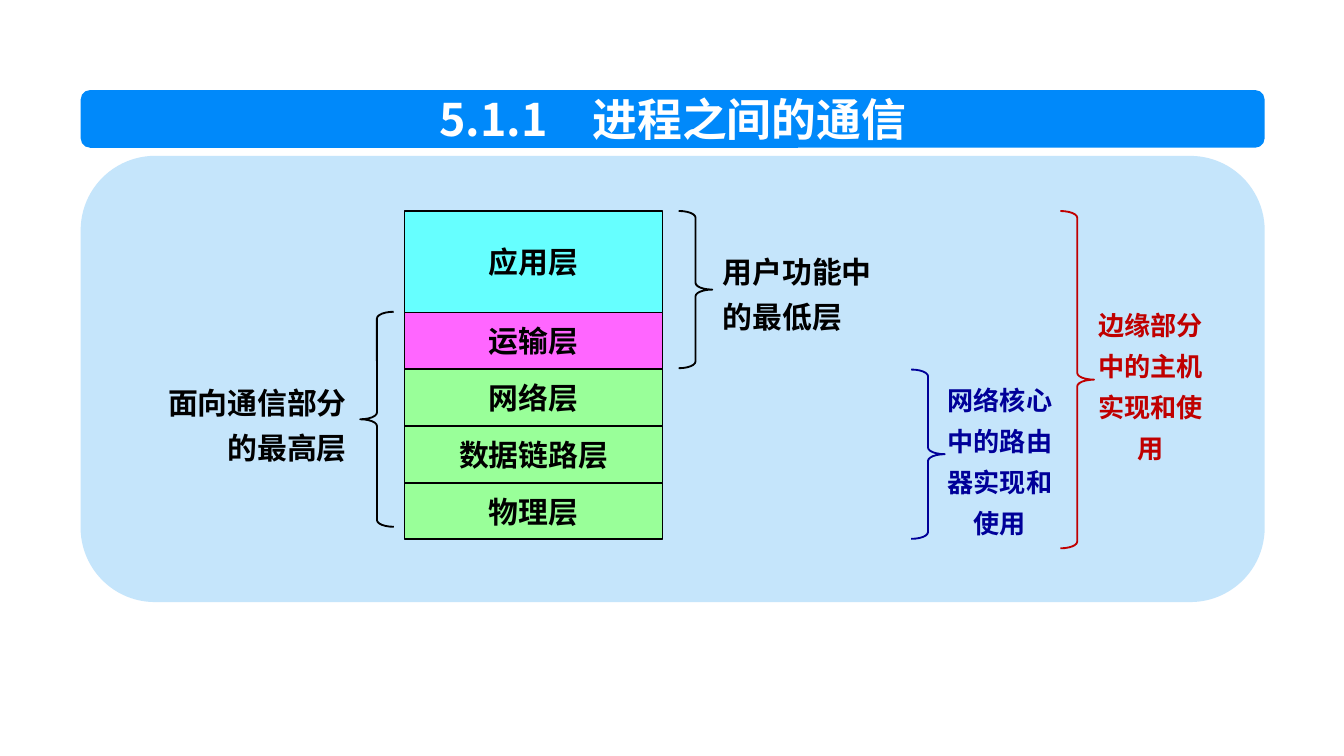
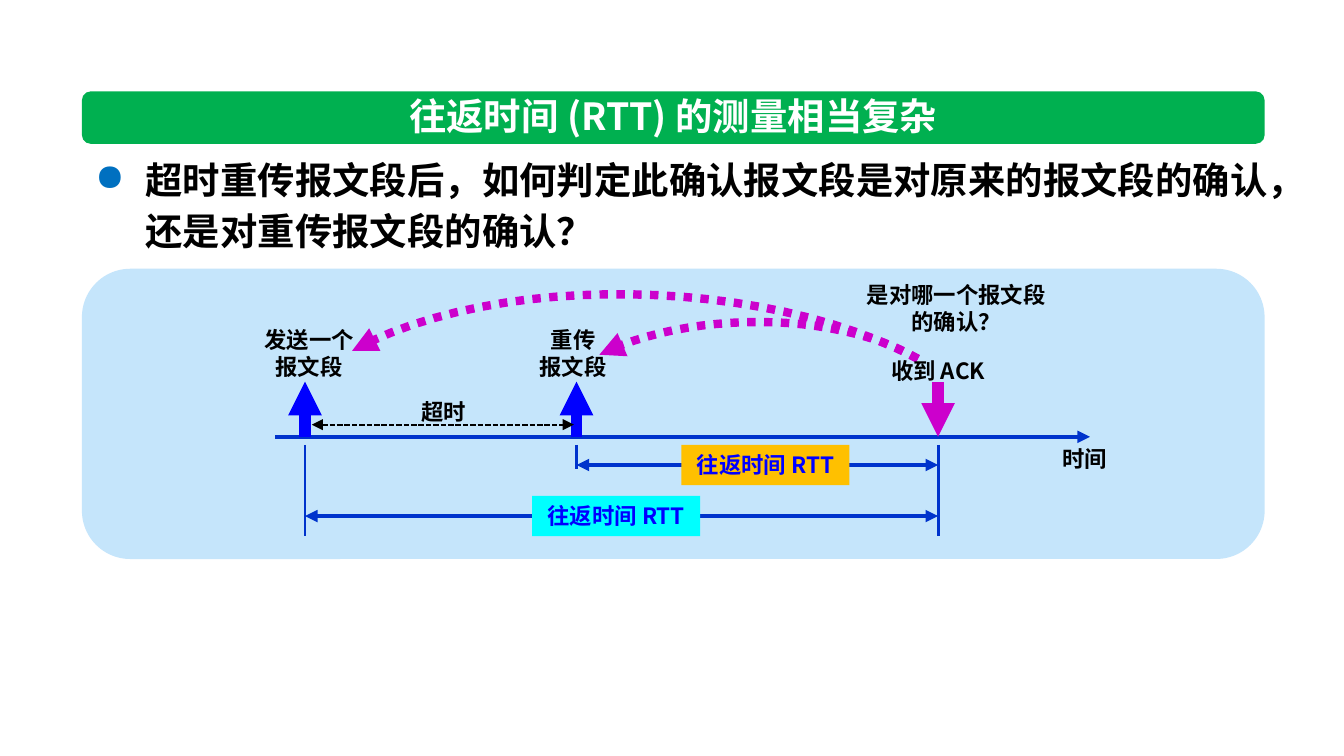
from dataclasses import dataclass

from lxml.etree import SubElement
from pptx import Presentation
from pptx.dml.color import RGBColor
from pptx.enum.dml import MSO_LINE
from pptx.enum.shapes import MSO_CONNECTOR, MSO_SHAPE
from pptx.enum.text import MSO_ANCHOR, MSO_AUTO_SIZE, PP_ALIGN
from pptx.oxml.ns import qn
from pptx.util import Inches, Pt

FONT = "Noto Sans CJK SC"
TITLE_ONLY = 5

WHITE = RGBColor(0xFF, 0xFF, 0xFF)
BLACK = RGBColor(0x00, 0x00, 0x00)
PANEL_BLUE = RGBColor(0xC5, 0xE5, 0xFB)
BAND_BLUE = RGBColor(0x00, 0x89, 0xFA)
BAND_GREEN = RGBColor(0x00, 0xB0, 0x50)
LAYER_GREEN = RGBColor(0x99, 0xFF, 0x99)
LAYER_PINK = RGBColor(0xFF, 0x66, 0xFF)
LAYER_CYAN = RGBColor(0x66, 0xFF, 0xFF)
CORE_NAVY = RGBColor(0x00, 0x00, 0x99)
EDGE_RED = RGBColor(0xC0, 0x00, 0x00)
AXIS_BLUE = RGBColor(0x00, 0x33, 0xCC)
SEND_BLUE = RGBColor(0x00, 0x00, 0xFF)
ACK_PURPLE = RGBColor(0xCC, 0x00, 0xCC)
RTT_AMBER = RGBColor(0xFF, 0xC0, 0x00)
RTT_CYAN = RGBColor(0x00, 0xFF, 0xFF)


def cells(count):
    """Convert grid cells of a tenth of an inch to a length."""
    return Inches(count / 10)


@dataclass
class Area:
    """A box on the grid of 100 columns by 56.25 rows."""

    left: float
    top: float
    width: float
    height: float

    def inner(self, left, top, width, height):
        """Return a box placed relative to this one."""
        return Area(self.left + left, self.top + top, width, height)

    def point(self, column, row):
        """Return the position of a point relative to this box."""
        return cells(self.left + column), cells(self.top + row)

    def frame(self):
        """Return left, top, width and height as lengths."""
        return [cells(n) for n in (self.left, self.top, self.width, self.height)]


def write(shape, lines, size, color=BLACK, align=PP_ALIGN.CENTER,
          anchor=MSO_ANCHOR.TOP, spacing=None, wrap=True):
    """Fill a shape with bold text in the shared font."""
    text_frame = shape.text_frame
    text_frame.text = lines
    text_frame.word_wrap = wrap
    text_frame.auto_size = MSO_AUTO_SIZE.NONE
    text_frame.vertical_anchor = anchor
    for paragraph in text_frame.paragraphs:
        paragraph.alignment = align
        if spacing:
            paragraph.line_spacing = Pt(spacing)
        for run in paragraph.runs:
            run.font.size = Pt(size)
            run.font.bold = True
            run.font.color.rgb = color
            run.font.name = FONT
    for properties in shape.element.iter(qn("a:rPr")):
        SubElement(properties, qn("a:ea"), typeface=FONT)


def add_text(shapes, area, lines, size, **style):
    """Add a text box."""
    box = shapes.add_textbox(*area.frame())
    write(box, lines, size, **style)
    return box


def add_shape(shapes, kind, area, fill=None, line=None):
    """Add a flat preset shape with an optional fill and outline."""
    shape = shapes.add_shape(kind, *area.frame())
    shape.shadow.inherit = False
    if fill is None:
        shape.fill.background()
    else:
        shape.fill.solid()
        shape.fill.fore_color.rgb = fill
    if line is None:
        shape.line.fill.background()
    else:
        shape.line.color.rgb = line
        shape.line.width = Pt(1)
    return shape


def style_line(shape, color, width, ends=(), dash=None):
    """Set colour, width, dash and triangular ends of a line."""
    shape.line.color.rgb = color
    shape.line.width = Pt(width)
    if dash:
        shape.line.dash_style = dash
    outline = shape.element.spPr.find(qn("a:ln"))
    for end in ends:
        SubElement(outline, qn(f"a:{end}"), type="triangle")


def add_line(shapes, area, start, finish, color, width, ends=(), dash=None):
    """Join two points of an area with a straight line."""
    connector = shapes.add_connector(
        MSO_CONNECTOR.STRAIGHT, *area.point(*start), *area.point(*finish))
    style_line(connector, color, width, ends, dash)
    SubElement(connector.element.spPr, qn("a:effectLst"))


def add_curve(shapes, area, controls, steps=24):
    """Draw a dotted arrow along a cubic curve."""
    points = []
    for step in range(steps + 1):
        t = step / steps
        weights = ((1 - t) ** 3, 3 * t * (1 - t) ** 2, 3 * t * t * (1 - t), t ** 3)
        points.append(area.point(*(
            sum(weight * control[axis] for weight, control in zip(weights, controls))
            for axis in (0, 1))))
    builder = shapes.build_freeform(*points[0], scale=1.0)
    builder.add_line_segments(points[1:], close=False)
    curve = builder.convert_to_shape()
    curve.shadow.inherit = False
    curve.fill.background()
    style_line(curve, ACK_PURPLE, 4.5, ["tailEnd"], MSO_LINE.ROUND_DOT)


def add_framed_slide(presentation, title, size, band, band_color, panel):
    """Add a slide with a title band above a rounded panel."""
    slide = presentation.slides.add_slide(presentation.slide_layouts[TITLE_ONLY])
    add_shape(slide.shapes, MSO_SHAPE.ROUNDED_RECTANGLE, panel, PANEL_BLUE)
    add_shape(slide.shapes, MSO_SHAPE.ROUNDED_RECTANGLE, band, band_color)
    heading = slide.shapes.title
    heading.left, heading.top, heading.width, heading.height = band.inner(
        0, -0.35, band.width, band.height + 0.6).frame()
    write(heading, title, size, color=WHITE)
    slide.shapes.element.append(heading.element)
    return slide


def add_layers(shapes, area):
    """Stack the five protocol layers from top to bottom."""
    layers = [("应用层", LAYER_CYAN, 7.56), ("运输层", LAYER_PINK, 4.22),
              ("网络层", LAYER_GREEN, 4.22), ("数据链路层", LAYER_GREEN, 4.22),
              ("物理层", LAYER_GREEN, 4.22)]
    top = 0
    for name, fill, height in layers:
        layer = add_shape(shapes, MSO_SHAPE.RECTANGLE,
                          area.inner(0, top, area.width, height), fill, BLACK)
        write(layer, name, 16, anchor=MSO_ANCHOR.MIDDLE)
        top += height


def add_brace(slide, brace_area, caption_area, caption, color, size, spacing,
              align=PP_ALIGN.CENTER, mirrored=False):
    """Group a brace with its caption."""
    shapes = slide.shapes.add_group_shape().shapes
    brace = add_shape(shapes, MSO_SHAPE.RIGHT_BRACE, brace_area, line=color)
    brace.adjustments[0] = 0.2
    if mirrored:
        brace.element.spPr.find(qn("a:xfrm")).set("flipH", "1")
    add_text(shapes, caption_area, caption, size, color=color, align=align,
             spacing=spacing)


def build_layers_slide(presentation):
    """Show which layers serve users, hosts and routers."""
    panel = Area(6, 11.6, 88.1, 33.2)
    slide = add_framed_slide(presentation, "5.1.1　进程之间的通信", 24,
                             Area(6, 6.7, 88.1, 4.3), BAND_BLUE, panel)
    add_layers(slide.shapes, panel.inner(24.1, 4.1, 19.2, 24.4))
    add_brace(slide, panel.inner(44.5, 4.1, 2.5, 11.7), panel.inner(46.8, 6.1, 15, 7.7),
              "用户功能中的最低层", BLACK, 16, 24, align=PP_ALIGN.LEFT)
    add_brace(slide, panel.inner(20.8, 11.6, 2.5, 16), panel.inner(5.2, 15.9, 15.6, 7.7),
              "面向通信部分的最高层", BLACK, 16, 24, align=PP_ALIGN.RIGHT, mirrored=True)
    add_brace(slide, panel.inner(61.8, 15.9, 2.5, 12.6), panel.inner(63.2, 15.8, 10.4, 13.4),
              "网络核心中的路由器实现和使用", CORE_NAVY, 14, 22)
    add_brace(slide, panel.inner(72.9, 4.1, 2.5, 25.1), panel.inner(74.4, 10.2, 10.4, 13.4),
              "边缘部分中的主机\n实现和使用", EDGE_RED, 14, 22)


def add_question(shapes, area):
    """Add the bulleted question above the timeline."""
    question = "超时重传报文段后，如何判定此确认报文段是对原来的报文段的确认，还是对重传报文段的确认？"
    box = add_text(shapes, area, question, 20, align=PP_ALIGN.LEFT, spacing=27)
    properties = box.text_frame.paragraphs[0]._p.get_or_add_pPr()
    properties.set("marL", str(cells(3.75)))
    properties.set("indent", str(-cells(3.75)))
    bullet_color = SubElement(properties, qn("a:buClr"))
    SubElement(bullet_color, qn("a:srgbClr"), val="0070C0")
    SubElement(properties, qn("a:buChar"), char="●")


def add_round_trip(shapes, area, start, finish, row, label_left, fill):
    """Draw a round-trip span with its label on top."""
    add_line(shapes, area, (start, row), (finish, row), AXIS_BLUE, 2.25,
             ["headEnd", "tailEnd"])
    label = add_shape(shapes, MSO_SHAPE.RECTANGLE,
                      area.inner(label_left, row - 1.5, 12.5, 3), fill)
    write(label, "往返时间 RTT", 12, color=SEND_BLUE)


def add_timeline(shapes, area):
    """Draw sending, resending and acknowledging along the time axis."""
    sent, resent, received, axis = 16.6, 36.8, 63.7, 12.5
    add_line(shapes, area, (14.4, axis), (75, axis), AXIS_BLUE, 2.25, ["tailEnd"])
    events = [(sent, SEND_BLUE, "tailEnd", 19.9), (resent, SEND_BLUE, "tailEnd", 14.9),
              (received, ACK_PURPLE, "headEnd", 19.9)]
    for column, color, end, mark_end in events:
        add_line(shapes, area, (column, axis), (column, axis - 4.1), color, 6, [end])
        add_line(shapes, area, (column, axis + 0.6), (column, mark_end), AXIS_BLUE, 1.5)
    add_round_trip(shapes, area, resent, received, 14.6, 44.6, RTT_AMBER)
    add_round_trip(shapes, area, sent, received, 18.4, 33.5, RTT_CYAN)
    add_line(shapes, area, (sent + 0.5, 11.6), (resent - 0.2, 11.6), BLACK, 1,
             ["headEnd", "tailEnd"], MSO_LINE.SQUARE_DOT)
    for controls in (
            [(62.2, 6.7), (55.9, 3), (44.9, 3.2), (38.5, 6.4)],
            [(62.2, 6.7), (50.7, 0.6), (30.9, 0.2), (20.1, 6.1)]):
        add_curve(shapes, area, controls)
    captions = [("发送一个\n报文段", 12.5, 3.8, 8.8, 5), ("重传\n报文段", 33, 3.8, 7.1, 5),
                ("收到 ACK", 59, 6.1, 9.4, 3), ("时间", 71.9, 12.6, 5.4, 3),
                ("是对哪一个报文段\n的确认？", 57.3, 0.4, 15.5, 5), ("超时", 24.2, 9.1, 5.4, 3)]
    for caption, *place in captions:
        add_text(shapes, area.inner(*place), caption, 12, wrap=False)


def build_round_trip_slide(presentation):
    """Show why an acknowledgement after resending is ambiguous."""
    panel = Area(6.1, 20, 88, 21.6)
    slide = add_framed_slide(presentation, "往返时间 (RTT) 的测量相当复杂", 20,
                             Area(6.1, 6.8, 88, 3.9), BAND_GREEN, panel)
    add_question(slide.shapes, panel.inner(0, -9.2, 89.5, 8.6))
    add_timeline(slide.shapes, panel)


def main():
    """Build and save both slides."""
    presentation = Presentation()
    presentation.slide_width = cells(100)
    presentation.slide_height = cells(56.25)
    build_layers_slide(presentation)
    build_round_trip_slide(presentation)
    presentation.save("out.pptx")


if __name__ == "__main__":
    main()
